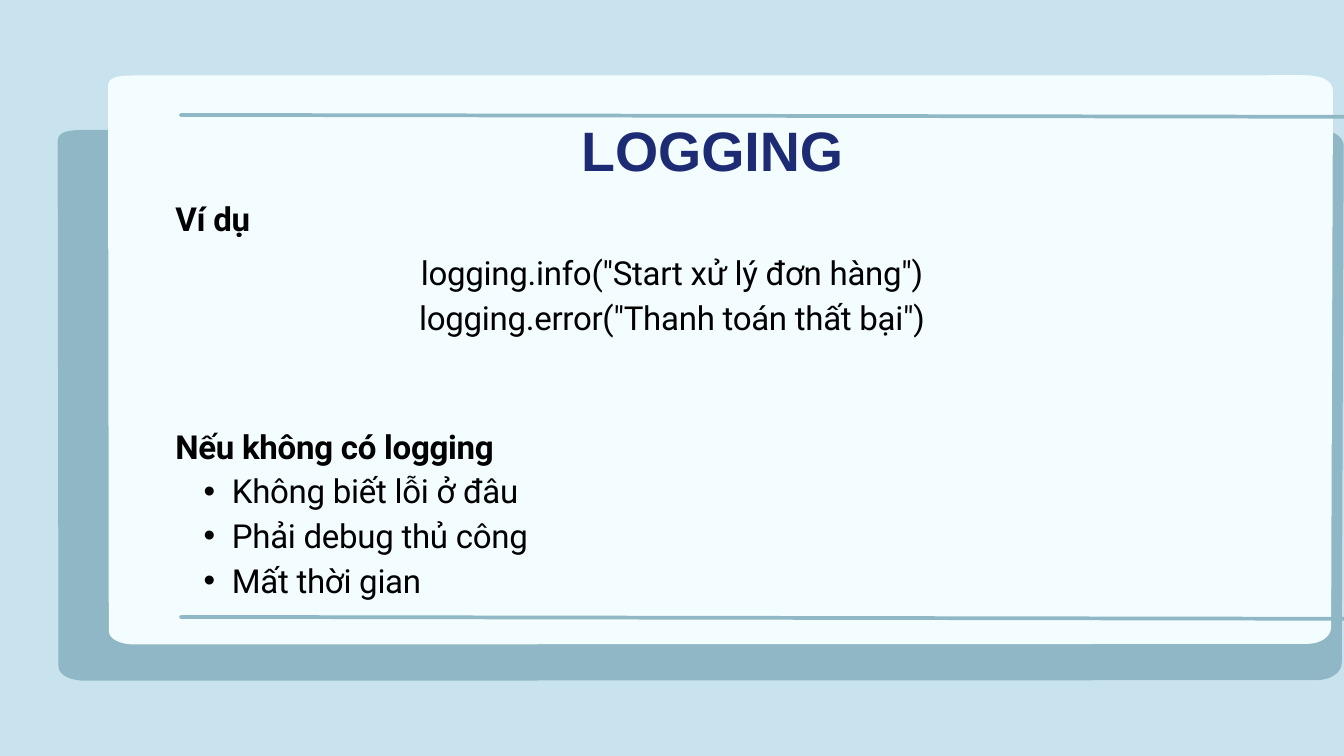
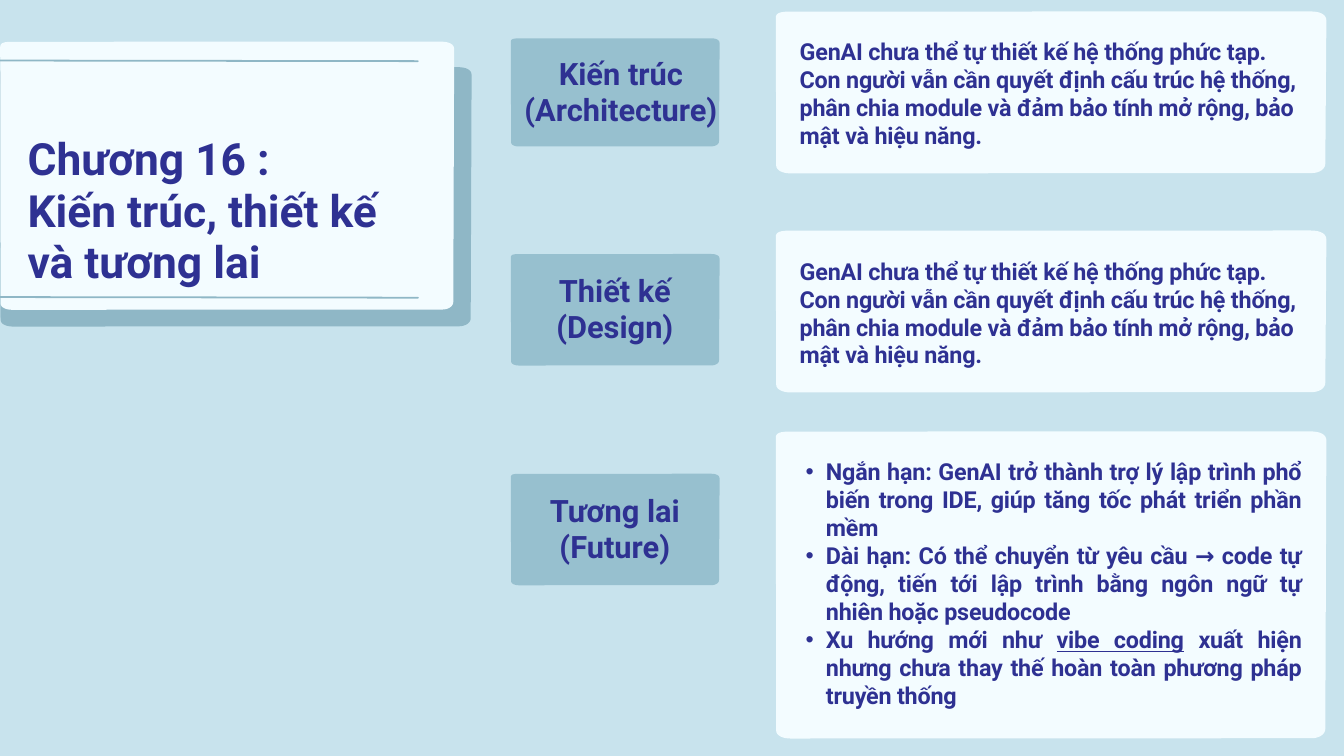
from dataclasses import dataclass
from typing import NamedTuple

from lxml import etree
from pptx import Presentation
from pptx import util as u
from pptx.dml.color import RGBColor
from pptx.enum import text as t
from pptx.enum.shapes import MSO_CONNECTOR
from pptx.oxml.ns import qn

WIDTH, HEIGHT = u.Inches(20), u.Inches(11.25)
COLUMN, ROW = WIDTH / 20, HEIGHT / 11.25

COLOURS = {
    "sky": "C8E3ED",
    "shade": "8FB7C6",
    "paper": "F3FCFF",
    "tag": "97C0CF",
    "title": "1D2B74",
    "indigo": "2E3192",
    "black": "000000",
}
LEFT, CENTRE, JUSTIFY = t.PP_ALIGN.LEFT, t.PP_ALIGN.CENTER, t.PP_ALIGN.JUSTIFY
CURVE_STEPS = 8


class Box(NamedTuple):
    """A place on the slide, in columns and rows."""
    left: float
    top: float
    width: float
    height: float


class Knot(NamedTuple):
    """A point tied to a panel edge (0 or 1) with an offset in corner sizes."""
    edge_x: int
    edge_y: int
    dx: float
    dy: float


@dataclass(frozen=True)
class Panel:
    box: Box
    fill: str
    corner: float


@dataclass(frozen=True)
class Rule:
    start: tuple[float, float]
    end: tuple[float, float]
    weight: float


@dataclass(frozen=True)
class Style:
    size: float
    leading: float
    colour: str
    bold: bool = False
    font: str = "Roboto"
    tracking: int = 0


@dataclass(frozen=True)
class Line:
    text: str
    style: Style
    align: t.PP_ALIGN = LEFT
    hang: float = 0
    underlined: str = ""


@dataclass(frozen=True)
class Topic:
    tag: Box
    label: tuple[str, str]
    label_left: float
    label_width: float
    card: Box
    body_left: float
    body_width: float
    body: list[Line]


HEADING = Style(59.5, 71.4, "title", True, "Arial")
BODY = Style(35.4, 47.8, "black", tracking=-30)
BODY_BOLD = Style(35.4, 47.8, "black", True, tracking=-30)
CHAPTER = Style(47.5, 55.2, "indigo", True)
LABEL = Style(33, 38.3, "indigo", True)
CARD = Style(25, 30, "indigo", True, tracking=-20)

# Each corner: where it starts, two handles, where it ends.
CORNERS = [
    (Knot(0, 1, 1, 0), Knot(0, 1, 0.5, 0), Knot(0, 1, 0.05, -0.2), Knot(0, 1, 0.05, -0.52)),
    (Knot(0, 0, 0.02, 0.52), Knot(0, 0, 0.02, 0.26), Knot(0, 0, 0, 0), Knot(0, 0, 0.98, 0.01)),
    (Knot(1, 0, -1.08, 0), Knot(1, 0, -0.45, 0), Knot(1, 0, 0, 0.2), Knot(1, 0, -0.01, 0.62)),
    (Knot(1, 1, -0.08, -0.66), Knot(1, 1, -0.08, -0.28), Knot(1, 1, -0.5, -0.02),
     Knot(1, 1, -1, -0.02)),
]


def colour(name: str) -> RGBColor:
    return RGBColor.from_string(COLOURS[name])


def place(box: Box) -> list[int]:
    return [round(box.left * COLUMN), round(box.top * ROW),
            round(box.width * COLUMN), round(box.height * ROW)]


def outline(panel: Panel) -> list[tuple[int, int]]:
    """Points of the soft, slightly uneven rectangle."""
    box, size = panel.box, panel.corner
    points = []
    for corner in CORNERS:
        knots = [(box.left + k.edge_x * box.width + k.dx * size,
                  box.top + k.edge_y * box.height + k.dy * size) for k in corner]
        for step in range(CURVE_STEPS + 1):
            s = step / CURVE_STEPS
            weights = ((1 - s) ** 3, 3 * s * (1 - s) ** 2, 3 * s * s * (1 - s), s ** 3)
            x = sum(w * k[0] for w, k in zip(weights, knots))
            y = sum(w * k[1] for w, k in zip(weights, knots))
            points.append((round(x * COLUMN), round(y * ROW)))
    return points


def draw_panel(slide, panel: Panel) -> None:
    first, *rest = outline(panel)
    builder = slide.shapes.build_freeform(*first)
    builder.add_line_segments(rest, close=True)
    shape = builder.convert_to_shape()
    shape.shadow.inherit = False
    shape.fill.solid()
    shape.fill.fore_color.rgb = colour(panel.fill)
    shape.line.fill.background()


def draw_rule(slide, rule: Rule) -> None:
    (x1, y1), (x2, y2) = rule.start, rule.end
    connector = slide.shapes.add_connector(
        MSO_CONNECTOR.STRAIGHT, round(x1 * COLUMN), round(y1 * ROW),
        round(x2 * COLUMN), round(y2 * ROW))
    connector.line.color.rgb = colour("shade")
    connector.line.width = u.Pt(rule.weight)
    connector.line._get_or_add_ln().set("cap", "rnd")
    etree.SubElement(connector._element.spPr, qn("a:effectLst"))


def add_bullet(paragraph, hang: float) -> None:
    paragraph.level = 1
    properties = paragraph._p.get_or_add_pPr()
    properties.set("marL", str(round(2 * hang * COLUMN)))
    properties.set("indent", str(round(-hang * COLUMN)))
    etree.SubElement(properties, qn("a:buFont")).set("typeface", "Arial")
    etree.SubElement(properties, qn("a:buChar")).set("char", "•")


def write_line(paragraph, line: Line) -> None:
    style = line.style
    if line.hang:
        add_bullet(paragraph, line.hang)
    paragraph.alignment = line.align
    paragraph.line_spacing = u.Pt(style.leading)
    pieces = line.text.partition(line.underlined) if line.underlined else (line.text,)
    for piece in pieces:
        run = paragraph.add_run()
        run.text = piece
        font = run.font
        font.name, font.size, font.bold = style.font, u.Pt(style.size), style.bold
        font.color.rgb = colour(style.colour)
        if piece == line.underlined:
            font.underline = True
        if style.tracking:
            run._r.get_or_add_rPr().set("spc", str(style.tracking))


def write(slide, box: Box, lines: list[Line]) -> None:
    frame = slide.shapes.add_textbox(*place(box)).text_frame
    frame.word_wrap = True
    frame.auto_size = t.MSO_AUTO_SIZE.SHAPE_TO_FIT_TEXT
    frame.margin_left = frame.margin_right = frame.margin_top = frame.margin_bottom = 0
    for index, line in enumerate(lines):
        write_line(frame.add_paragraph() if index else frame.paragraphs[0], line)


def start_slide(deck, panels: list[Panel], rules: list[Rule]):
    """Blank slide with the sky background and a stacked, ruled sheet."""
    slide = deck.slides.add_slide(deck.slide_layouts[6])
    slide.background.fill.solid()
    slide.background.fill.fore_color.rgb = colour("sky")
    for panel in panels:
        draw_panel(slide, panel)
    for rule in rules:
        draw_rule(slide, rule)
    return slide


def draw_topic(slide, topic: Topic) -> None:
    tag, card = topic.tag, topic.card
    label_height = 1.09
    draw_panel(slide, Panel(tag, "tag", 0.12))
    write(slide, Box(topic.label_left, tag.top + (tag.height - label_height) / 2,
                     topic.label_width, label_height),
          [Line(part, LABEL, CENTRE) for part in topic.label])
    draw_panel(slide, Panel(card, "paper", 0.22))
    write(slide, Box(topic.body_left, card.top + 0.39, topic.body_width, card.height - 0.74),
          topic.body)


def logging_slide(deck) -> None:
    slide = start_slide(
        deck,
        [Panel(Box(0.85, 1.93, 19.15, 8.2), "shade", 0.41),
         Panel(Box(1.06, 2, 18.78, 8.02), "shade", 0.41),
         Panel(Box(1.6, 1.12, 18.24, 8.47), "paper", 0.39)],
        [Rule((2.69, y), (21.12, y + 0.03), 4) for y in (9.18, 1.71)])
    write(slide, Box(2.61, 2.88, 15.45, 0.63), [Line("Ví dụ", BODY_BOLD, JUSTIFY)])
    write(slide, Box(2.33, 1.73, 16.54, 1), [Line("LOGGING", HEADING, CENTRE)])
    losses = ["Không biết lỗi ở đâu", "Phải debug thủ công", "Mất thời gian"]
    write(slide, Box(2.61, 6.27, 15.45, 3.25),
          [Line("Nếu không có logging", BODY_BOLD, JUSTIFY)]
          + [Line(loss, BODY, JUSTIFY, hang=0.42) for loss in losses])
    calls = ['logging.info("Start xử lý đơn hàng")', 'logging.error("Thanh toán thất bại")']
    write(slide, Box(1.73, 3.69, 16.54, 1.3), [Line(call, BODY, CENTRE) for call in calls])


def chapter_slide(deck) -> None:
    slide = start_slide(
        deck,
        [Panel(Box(0, 1, 7.02, 3.86), "shade", 0.19),
         Panel(Box(0, 1.03, 6.96, 3.78), "shade", 0.19),
         Panel(Box(0, 0.62, 6.76, 3.99), "paper", 0.18)],
        [Rule((-0.57, y), (6.22, y + 0.01), 1.89) for y in (4.42, 0.9)])
    write(slide, Box(0.41, 1.98, 5.83, 2.3),
          [Line("Chương 16 :", CHAPTER), Line("Kiến trúc, thiết kế và tương lai", CHAPTER)])

    limits = [Line("GenAI chưa thể tự thiết kế hệ thống phức tạp. Con người vẫn cần quyết định "
                   "cấu trúc hệ thống, phân chia module và đảm bảo tính mở rộng, bảo mật và "
                   "hiệu năng.", CARD)]
    trends = [
        Line("Ngắn hạn: GenAI trở thành trợ lý lập trình phổ biến trong IDE, giúp tăng tốc "
             "phát triển phần mềm", CARD, JUSTIFY, 0.3),
        Line("Dài hạn: Có thể chuyển từ yêu cầu → code tự động, tiến tới lập trình bằng "
             "ngôn ngữ tự nhiên hoặc pseudocode", CARD, JUSTIFY, 0.3),
        Line("Xu hướng mới như vibe coding xuất hiện nhưng chưa thay thế hoàn toàn "
             "phương pháp truyền thống", CARD, JUSTIFY, 0.3, "vibe coding"),
    ]
    topics = [
        Topic(Box(7.6, 0.57, 3.11, 1.61), ("Kiến trúc", "(Architecture)"), 7.77, 2.94,
              Box(11.54, 0.17, 8.2, 2.41), 11.9, 7.48, limits),
        Topic(Box(7.6, 3.78, 3.11, 1.66), ("Thiết kế", "(Design)"), 7.9, 2.5,
              Box(11.54, 3.43, 8.2, 2.41), 11.9, 7.48, limits),
        Topic(Box(7.6, 7.05, 3.11, 1.66), ("Tương lai", "(Future)"), 7.9, 2.5,
              Box(11.54, 6.42, 8.2, 4.57), 11.69, 7.68, trends),
    ]
    for topic in topics:
        draw_topic(slide, topic)


def main() -> None:
    deck = Presentation()
    deck.slide_width, deck.slide_height = WIDTH, HEIGHT
    logging_slide(deck)
    chapter_slide(deck)
    deck.save("out.pptx")


if __name__ == "__main__":
    main()
